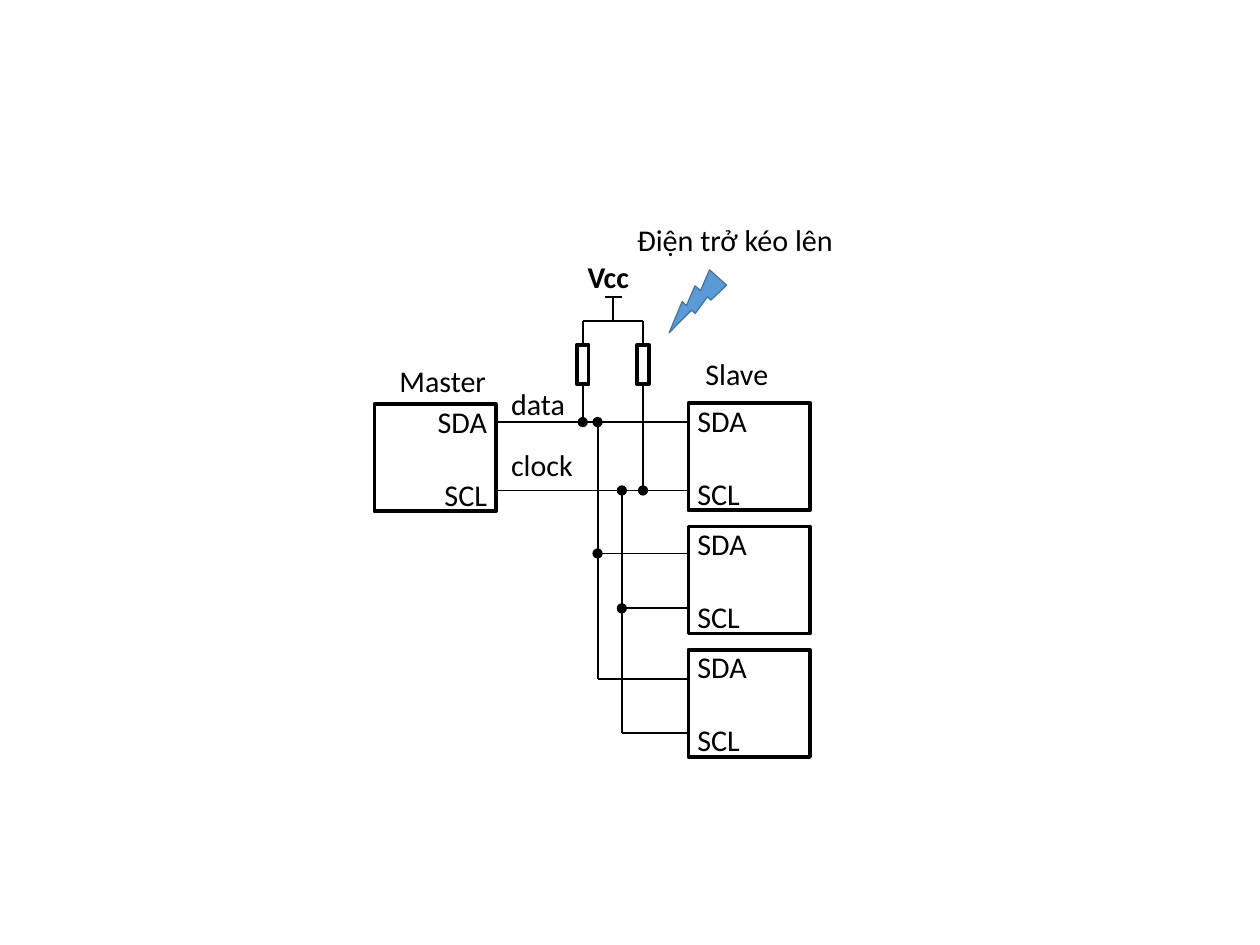
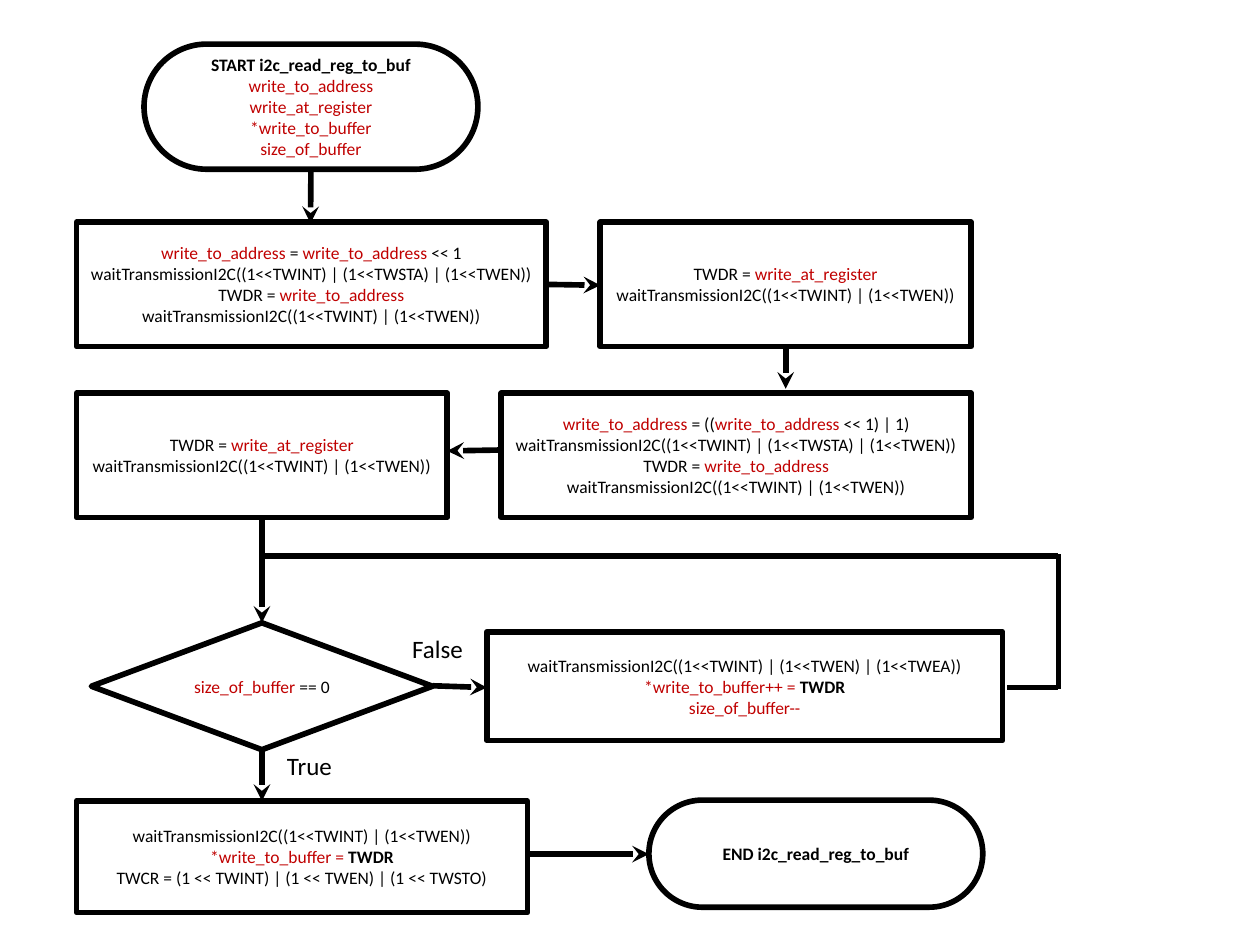
from dataclasses import dataclass
from typing import NamedTuple

from lxml import etree
from pptx import Presentation
from pptx.dml.color import RGBColor
from pptx.enum.shapes import MSO_CONNECTOR, MSO_SHAPE
from pptx.enum.text import MSO_ANCHOR, MSO_AUTO_SIZE, PP_ALIGN
from pptx.oxml.ns import qn
from pptx.util import Inches, Pt

RECT, PILL, DIAMOND = MSO_SHAPE.RECTANGLE, MSO_SHAPE.ROUNDED_RECTANGLE, MSO_SHAPE.DIAMOND
OVAL, BOLT = MSO_SHAPE.OVAL, MSO_SHAPE.LIGHTNING_BOLT
STRAIGHT = MSO_CONNECTOR.STRAIGHT
LEFT, CENTER, RIGHT = PP_ALIGN.LEFT, PP_ALIGN.CENTER, PP_ALIGN.RIGHT
TOP, MIDDLE = MSO_ANCHOR.TOP, MSO_ANCHOR.MIDDLE
GROW = MSO_AUTO_SIZE.SHAPE_TO_FIT_TEXT

WIDTH, HEIGHT = Inches(14), Inches(10.5)
COLUMN, ROW = WIDTH / 140, HEIGHT / 105
COLORS = {"ink": "000000", "accent": "C00000", "bolt": "5B9BD5", "bolt_edge": "43739E"}
FORMATS = {
    "plain": {"name": "Calibri", "bold": False},
    "accent": {"name": "Calibri", "bold": False},
    "strong": {"name": "Calibri", "bold": True},
}


class Run(NamedTuple):
    text: str
    tone: str = "plain"


Lines = list[list[Run]]


@dataclass
class Box:
    left: float
    top: float
    width: float
    height: float
    kind: int = RECT
    fill: str | None = None
    edge: str = "ink"
    weight: float = 4.5


@dataclass
class Wire:
    x1: float
    y1: float
    x2: float
    y2: float
    weight: float = 1.5
    arrow: bool = False


@dataclass
class Label:
    left: float
    top: float
    width: float
    text: str
    size: float = 24
    tone: str = "plain"


def columns(count: float) -> int:
    return round(count * COLUMN)


def rows(count: float) -> int:
    return round(count * ROW)


def color(key: str) -> RGBColor:
    return RGBColor.from_string(COLORS[key])


def write(frame, lines: Lines, size: float, align=CENTER, gap: float = 0) -> None:
    for index, line in enumerate(lines):
        paragraph = frame.paragraphs[0] if index == 0 else frame.add_paragraph()
        paragraph.alignment = align
        if index:
            paragraph.space_before = Pt(gap)
        for text, tone in line:
            run = paragraph.add_run()
            run.text = text
            for key, value in FORMATS[tone].items():
                setattr(run.font, key, value)
            run.font.size = Pt(size)
            run.font.color.rgb = color("accent" if tone == "accent" else "ink")


def draw_box(slide, box: Box, lines: Lines = (), size: float = 14, align=CENTER, gap: float = 0):
    shape = slide.shapes.add_shape(
        box.kind, columns(box.left), rows(box.top), columns(box.width), rows(box.height))
    shape.shadow.inherit = False
    if box.fill:
        shape.fill.solid()
        shape.fill.fore_color.rgb = color(box.fill)
    else:
        shape.fill.background()
    shape.line.color.rgb = color(box.edge)
    shape.line.width = Pt(box.weight)
    if box.kind == PILL:
        shape.adjustments[0] = 0.5
    shape.text_frame.vertical_anchor = MIDDLE
    write(shape.text_frame, lines, size, align, gap)
    return shape


def draw_wire(slide, wire: Wire) -> None:
    connector = slide.shapes.add_connector(
        STRAIGHT, columns(wire.x1), rows(wire.y1), columns(wire.x2), rows(wire.y2))
    connector.line.color.rgb = color("ink")
    connector.line.width = Pt(wire.weight)
    properties = connector.line._get_or_add_ln().getparent()
    if wire.arrow:
        etree.SubElement(properties.find(qn("a:ln")), qn("a:tailEnd"), type="stealth")
    etree.SubElement(properties, qn("a:effectLst"))


def draw_label(slide, label: Label) -> None:
    textbox = slide.shapes.add_textbox(
        columns(label.left), rows(label.top), columns(label.width), rows(label.size * 0.21))
    frame = textbox.text_frame
    settings = {"word_wrap": False, "auto_size": GROW, "vertical_anchor": TOP}
    for key, value in settings.items():
        setattr(frame, key, value)
    write(frame, [[Run(label.text, label.tone)]], label.size, LEFT)


def build_bus(slide) -> None:
    sda, scl = 46.9, 54.5
    data_drop, clock_drop = 66.4, 69.1
    device_left, device_width, device_height = 76.5, 13.5, 11.9
    first_device, device_step = 44.8, 13.7
    pins = [[Run("SDA")], [Run("SCL")]]
    pin_size, pin_gap = 24.1, 29.4

    master = Box(41.6, 44.9, device_width, device_height, weight=3)
    draw_box(slide, master, pins, pin_size, RIGHT, pin_gap)
    for index in range(3):
        slave = Box(device_left, first_device + index * device_step,
                    device_width, device_height, weight=3)
        draw_box(slide, slave, pins, pin_size, LEFT, pin_gap)

    for level in (sda, scl):
        draw_wire(slide, Wire(55.1, level, device_left, level))
    for drop, start, branches in ((data_drop, sda, (61.5, 75.4)),
                                  (clock_drop, scl, (67.6, 81.4))):
        draw_wire(slide, Wire(drop, start, drop, branches[-1]))
        for level in branches:
            draw_wire(slide, Wire(drop, level, device_left, level))

    supply, rail = 68.1, 35.7
    draw_wire(slide, Wire(67.2, 33, 69.1, 33))
    draw_wire(slide, Wire(supply, 33, supply, rail))
    pulls = ((64.75, sda), (71.45, scl))
    draw_wire(slide, Wire(pulls[0][0], rail, pulls[1][0], rail))
    for center, level in pulls:
        draw_wire(slide, Wire(center, rail, center, 38.3))
        draw_box(slide, Box(center - 0.65, 38.3, 1.3, 4.4, weight=3))
        draw_wire(slide, Wire(center, 42.7, center, level))

    for x, y in (*pulls, (data_drop, sda), (data_drop, 61.5),
                 (clock_drop, scl), (clock_drop, 67.6)):
        draw_box(slide, Box(x - 0.5, y - 0.5, 1, 1, OVAL, "ink", weight=1))

    for label in (
        Label(43.4, 39.8, 11.7, "Master"),
        Label(77.4, 39, 9.1, "Slave"),
        Label(55.8, 42.3, 8.1, "data"),
        Label(55.8, 49.1, 8.9, "clock"),
        Label(64.3, 28.2, 6.7, "Vcc", 24.1, "strong"),
        Label(69.8, 24.1, 23.9, "Điện trở kéo lên", 24.1),
    ):
        draw_label(slide, label)
    bolt = draw_box(slide, Box(74.5, 29.5, 5.5, 7.6, BOLT, "bolt", "bolt_edge", 1))
    bolt.rotation = 74.1


def build_flow(slide) -> None:
    address, register = Run("write_to_address", "accent"), Run("write_at_register", "accent")
    buffer_size = "size_of_buffer"
    load = Run("TWDR = ")
    stored = Run("TWDR", "strong")
    wait = [Run("waitTransmissionI2C((1<<TWINT) | (1<<TWEN))")]
    wait_start = [Run("waitTransmissionI2C((1<<TWINT) | (1<<TWSTA) | (1<<TWEN))")]
    wait_ack = [Run("waitTransmissionI2C((1<<TWINT) | (1<<TWEN) | (1<<TWEA))")]
    send_address = [wait_start, [load, address], wait]
    send_register = [[load, register], wait]

    margin, right_edge, axis = 8.5, 107.9, 29.1
    wide, narrow, tall, pill = 52.2, 41.2, 13.8, 37.1
    upper, lower, loop, finish = 24.7, 43.7, 70.2, 89
    steps = (
        (Box(16, 4.9, pill, 13.9, PILL), [
            [Run("START i2c_read_reg_to_buf", "strong")], [address], [register],
            [Run("*write_to_buffer", "accent")], [Run(buffer_size, "accent")]]),
        (Box(margin, upper, wide, tall),
         [[address, Run(" = "), address, Run(" << 1")], *send_address]),
        (Box(right_edge - narrow, upper, narrow, tall), send_register),
        (Box(right_edge - wide, lower, wide, tall),
         [[address, Run(" = (("), address, Run(" << 1) | 1)")], *send_address]),
        (Box(margin, lower, narrow, tall), send_register),
        (Box(axis - 18.95, 69.2, 37.9, 14.1, DIAMOND),
         [[Run(buffer_size + " ", "accent"), Run("== 0")]]),
        (Box(54.1, loop, 57.3, 12.1), [
            wait_ack, [Run("*write_to_buffer++ = ", "accent"), stored],
            [Run(buffer_size + "--", "accent")]]),
        (Box(margin, finish, 50.1, 12.4), [
            wait, [Run("*write_to_buffer = ", "accent"), stored],
            [Run("TWCR = (1 << TWINT) | (1 << TWEN) | (1 << TWSTO)")]]),
        (Box(72.1, 88.9, pill, 11.9, PILL), [[Run("END i2c_read_reg_to_buf", "strong")]]),
    )
    for box, lines in steps:
        draw_box(slide, box, lines)

    for ends in (
        (34.55, 18.8, 34.5, 24.8),
        (60.7, 31.6, 66.7, 31.7),
        (87.3, 38.4, 87.3, 43.2),
        (55.7, 50, 49.7, 50.1),
        (axis, 57.5, axis, 69.2),
        (axis, 83.3, axis, finish),
        (48.1, 76.2, 54.1, 76.4),
        (58.6, 94.9, 72.1, 94.9),
    ):
        draw_wire(slide, Wire(*ends, weight=4.5, arrow=True))

    return_x, return_y, exit_y = 117.6, 61.8, 76.4
    for ends in (
        (axis, return_y, return_x, return_y),
        (111.9, exit_y, return_x, exit_y),
        (return_x, return_y - 0.2, return_x, exit_y + 0.2),
    ):
        draw_wire(slide, Wire(*ends, weight=4.5))

    draw_label(slide, Label(30.9, 82.9, 7.7, "True", 20))
    draw_label(slide, Label(44.8, 69.9, 8.9, "False", 20))


presentation = Presentation()
presentation.slide_width, presentation.slide_height = WIDTH, HEIGHT
blank = presentation.slide_layouts[6]
for build in (build_bus, build_flow):
    build(presentation.slides.add_slide(blank))
presentation.save("out.pptx")
